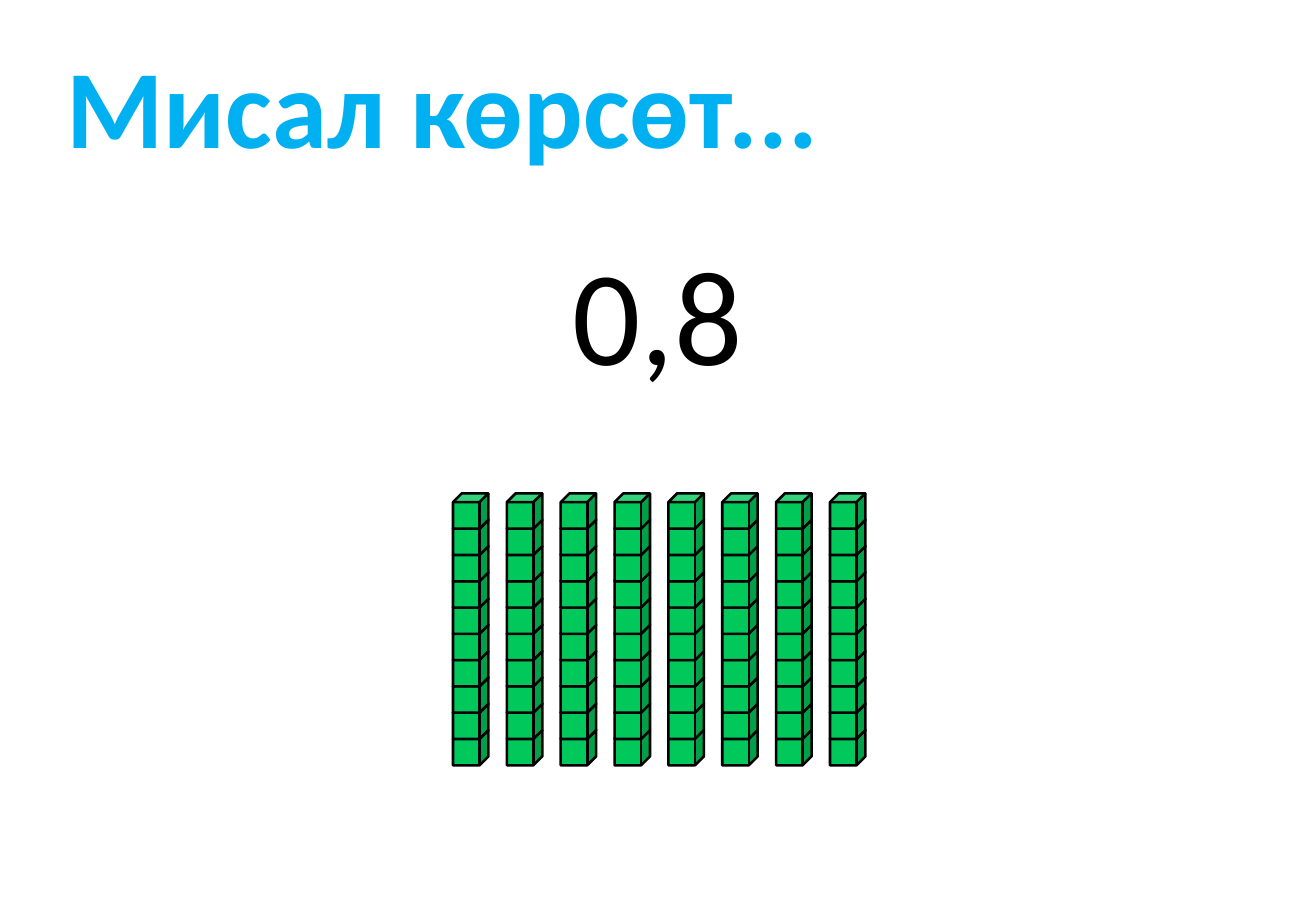
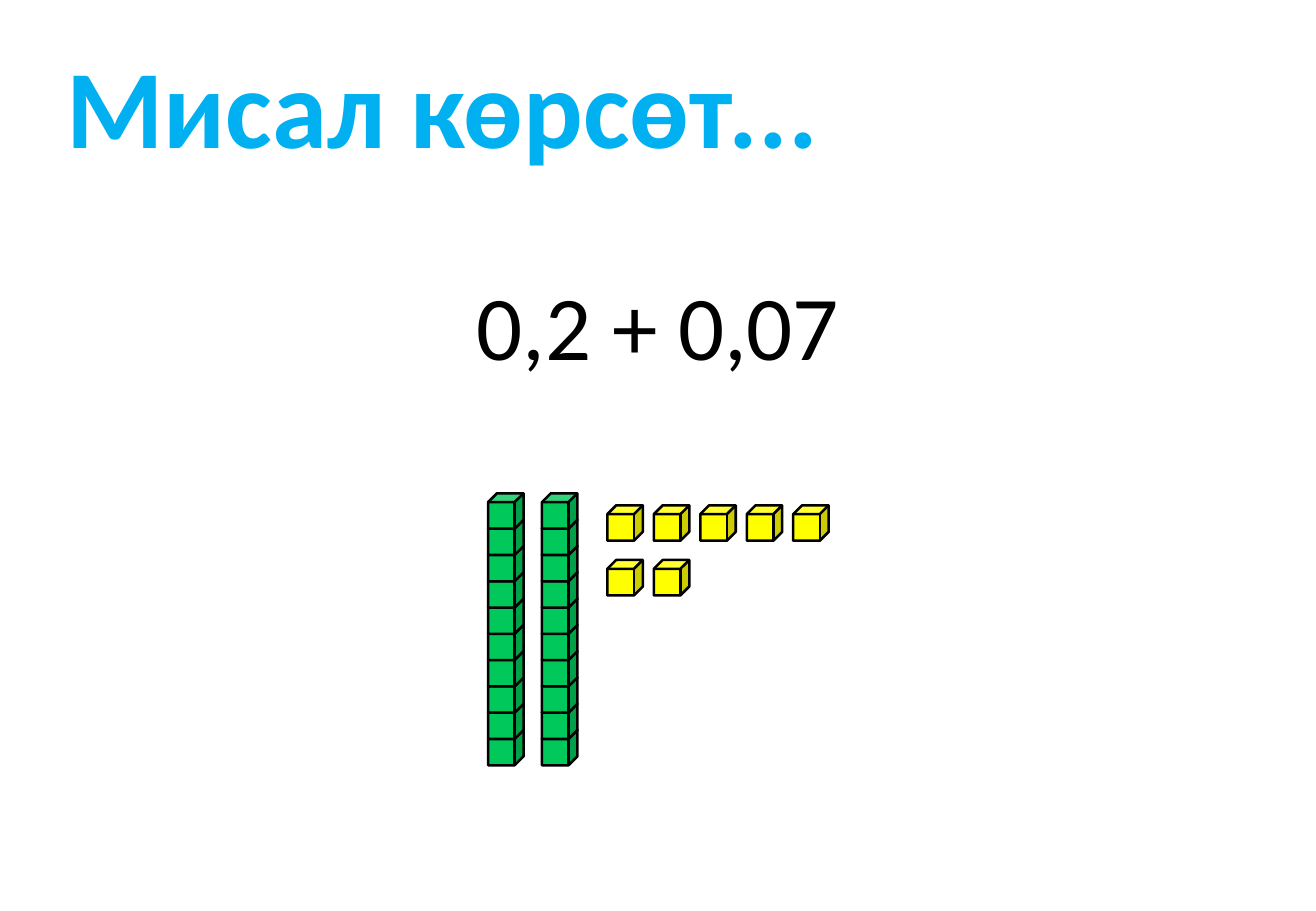
from pptx import Presentation
from pptx.dml.color import RGBColor
from pptx.enum.shapes import MSO_SHAPE
from pptx.enum.text import MSO_AUTO_SIZE, PP_ALIGN
from pptx.util import Pt

CUBE = MSO_SHAPE.CUBE
GROW = MSO_AUTO_SIZE.SHAPE_TO_FIT_TEXT
LEFT, CENTER = PP_ALIGN.LEFT, PP_ALIGN.CENTER

SKY = RGBColor(0x00, 0xB0, 0xF0)
GREEN = RGBColor(0x00, 0xC8, 0x5A)
YELLOW = RGBColor(0xFF, 0xFF, 0x00)
BLACK = RGBColor(0x00, 0x00, 0x00)

FONT = "Calibri"
SLIDE_WIDTH, SLIDE_HEIGHT = 780, 540
CUBE_SIZE = 21
ROD_TOP, ROD_CUBES, ROD_STEP, ROD_PITCH = 292.4, 10, 15.58, 31.92
ONES_LEFT, ONES_TOP, ONES_PER_ROW = 360, 299.5, 5
ONES_PITCH, ONES_ROW_PITCH = 27.54, 32.4

TITLE = "Мисал көрсөт..."
EXAMPLES = [
    {"number": "0,8", "size": 80, "top": 133.2, "width": 116.6, "height": 104.4,
     "rods_left": 268.5, "tenths": 8, "hundredths": 0},
    {"number": "0,2 + 0,07", "size": 54, "top": 156.2, "width": 231.8, "height": 72.7,
     "rods_left": 289.3, "tenths": 2, "hundredths": 7},
]


def add_text(page, text, left, top, width, height, size, color, align, bold=False, wrap=True):
    box = page.shapes.add_textbox(Pt(left), Pt(top), Pt(width), Pt(height))
    frame = box.text_frame
    frame.word_wrap = wrap
    frame.auto_size = GROW
    frame.text = text
    para = frame.paragraphs[0]
    para.alignment = align
    font = para.runs[0].font
    font.name, font.size, font.bold = FONT, Pt(size), bold
    font.color.rgb = color
    return box


def add_title(page):
    box = add_text(page, TITLE, 17.3, 18.7, 542.9, 87.1, 66, SKY, LEFT, bold=True)
    box.text_frame.margin_left = Pt(22.1)


def add_cube(group, left, top, color):
    cube = group.shapes.add_shape(CUBE, Pt(left), Pt(top), Pt(CUBE_SIZE), Pt(CUBE_SIZE))
    cube.shadow.inherit = False
    cube.fill.solid()
    cube.fill.fore_color.rgb = color
    cube.line.color.rgb = BLACK
    cube.line.width = Pt(1.5)


def add_rod(page, left):
    rod = page.shapes.add_group_shape()
    for level in reversed(range(ROD_CUBES)):
        add_cube(rod, left, ROD_TOP + level * ROD_STEP, GREEN)


def add_ones(page, count):
    ones = page.shapes.add_group_shape()
    for index in range(count):
        row, column = divmod(index, ONES_PER_ROW)
        add_cube(ones, ONES_LEFT + column * ONES_PITCH, ONES_TOP + row * ONES_ROW_PITCH, YELLOW)


def add_example(deck, example):
    page = deck.slides.add_slide(deck.slide_layouts[6])
    width = example["width"]
    add_text(page, example["number"], (SLIDE_WIDTH - width) / 2, example["top"], width,
             example["height"], example["size"], BLACK, CENTER, wrap=False)
    for column in range(example["tenths"]):
        add_rod(page, example["rods_left"] + column * ROD_PITCH)
    if example["hundredths"]:
        add_ones(page, example["hundredths"])
    add_title(page)


def main():
    deck = Presentation()
    deck.slide_width, deck.slide_height = Pt(SLIDE_WIDTH), Pt(SLIDE_HEIGHT)
    for example in EXAMPLES:
        add_example(deck, example)
    deck.save("out.pptx")


if __name__ == "__main__":
    main()
